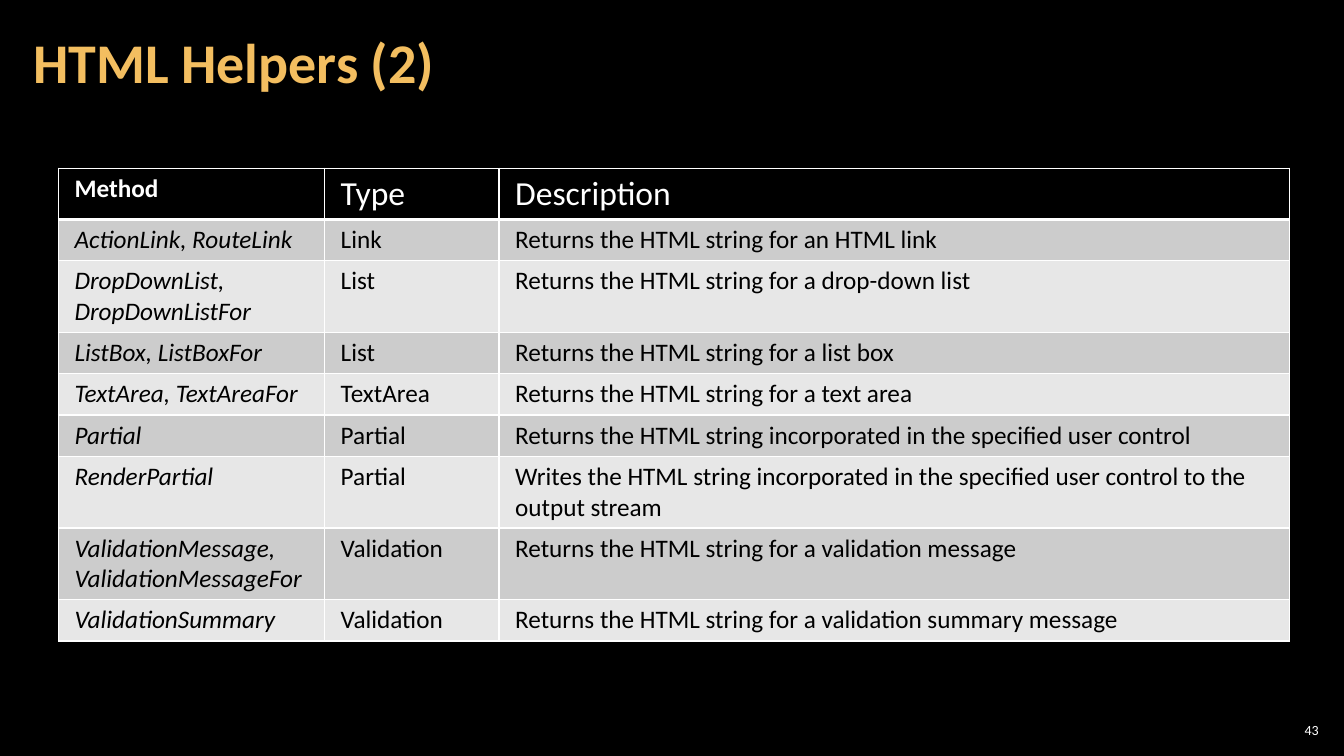
"""Build the HTML Helpers slide with its table of helper methods."""
from typing import NamedTuple

from lxml import etree
from pptx import Presentation
from pptx.dml.color import RGBColor
from pptx.enum import text
from pptx.oxml import ns
from pptx.slide import Slide
from pptx.table import _Cell
from pptx.util import Inches, Pt

BLACK = RGBColor(0x00, 0x00, 0x00)
WHITE = RGBColor(0xFF, 0xFF, 0xFF)
GOLD = RGBColor(0xF3, 0xBE, 0x60)
DARK_BAND = RGBColor(0xCC, 0xCC, 0xCC)
LIGHT_BAND = RGBColor(0xE7, 0xE7, 0xE7)
FONT = "Calibri"
COLUMN_WIDTHS = (2.64, 1.73, 7.84)
ROW_HEIGHT = 0.41


class Style(NamedTuple):
    size: float
    color: RGBColor
    bold: bool = False
    italic: bool = False


class Label(NamedTuple):
    words: str
    left: float
    top: float
    width: float
    height: float
    side_inset: float
    align: text.PP_ALIGN
    line_spacing: float
    style: Style


class Helper(NamedTuple):
    method: str
    type: str
    description: str


LABELS = (
    Label("43", 12.65, 7.14, 0.47, 0.21, 0.04, text.PP_ALIGN.RIGHT, 1.0, Style(10, WHITE)),
    Label("HTML Helpers (2)", 0.21, 0.04, 10.47, 1.21, 0.12, text.PP_ALIGN.LEFT, 0.9,
          Style(40, GOLD, bold=True)),
)

HEADER = Helper("Method", "Type", "Description")
HELPERS = (
    Helper("ActionLink, RouteLink", "Link", "Returns the HTML string for an HTML link"),
    Helper("DropDownList,\nDropDownListFor", "List",
           "Returns the HTML string for a drop-down list"),
    Helper("ListBox, ListBoxFor", "List", "Returns the HTML string for a list box"),
    Helper("TextArea, TextAreaFor", "TextArea", "Returns the HTML string for a text area"),
    Helper("Partial", "Partial",
           "Returns the HTML string incorporated in the specified user control"),
    Helper("RenderPartial", "Partial",
           "Writes the HTML string incorporated in the specified user control to the\n"
           "output stream"),
    Helper("ValidationMessage,\nValidationMessageFor", "Validation",
           "Returns the HTML string for a validation message"),
    Helper("ValidationSummary", "Validation",
           "Returns the HTML string for a validation summary message"),
)


def write(text_frame, words: str, style: Style) -> None:
    text_frame.text = words
    for paragraph in text_frame.paragraphs:
        for run in paragraph.runs:
            run.font.name = FONT
            run.font.size = Pt(style.size)
            run.font.bold = style.bold
            run.font.italic = style.italic
            run.font.color.rgb = style.color


def add_label(slide: Slide, label: Label) -> None:
    shape = slide.shapes.add_textbox(
        Inches(label.left), Inches(label.top), Inches(label.width), Inches(label.height))
    text_frame = shape.text_frame
    text_frame.word_wrap = True
    text_frame.vertical_anchor = text.MSO_ANCHOR.MIDDLE
    text_frame.margin_left = text_frame.margin_right = Inches(label.side_inset)
    text_frame.margin_top = text_frame.margin_bottom = Inches(0.04)
    write(text_frame, label.words, label.style)
    text_frame.paragraphs[0].alignment = label.align
    text_frame.paragraphs[0].line_spacing = label.line_spacing


def add_borders(cell: _Cell, bottom_width: float) -> None:
    properties = cell._tc.get_or_add_tcPr()
    widths = {"lnL": 1, "lnR": 1, "lnT": 1, "lnB": bottom_width}
    for position, (side, width) in enumerate(widths.items()):
        line = etree.Element(ns.qn(f"a:{side}"), w=str(Pt(width)))
        fill = etree.SubElement(line, ns.qn("a:solidFill"))
        etree.SubElement(fill, ns.qn("a:srgbClr"), val=str(WHITE))
        properties.insert(position, line)


def fill_cell(cell: _Cell, words: str, style: Style, fill: RGBColor,
              bottom_width: float) -> None:
    cell.margin_left = cell.margin_right = Inches(0.16)
    cell.margin_top = cell.margin_bottom = Inches(0.05)
    cell.fill.solid()
    cell.fill.fore_color.rgb = fill
    add_borders(cell, bottom_width)
    write(cell.text_frame, words, style)


def add_helper_table(slide: Slide) -> None:
    rows = (HEADER, *HELPERS)
    table = slide.shapes.add_table(
        len(rows), len(COLUMN_WIDTHS), Inches(0.58), Inches(1.67),
        Inches(sum(COLUMN_WIDTHS)), Inches(ROW_HEIGHT * len(rows))).table
    for column, width in zip(table.columns, COLUMN_WIDTHS):
        column.width = Inches(width)
    for row_index, helper in enumerate(rows):
        table.rows[row_index].height = Inches(ROW_HEIGHT)
        is_header = row_index == 0
        band = DARK_BAND if row_index % 2 else LIGHT_BAND
        for column_index, words in enumerate(helper):
            is_method = column_index == 0
            if is_header:
                style = Style(18 if is_method else 24, WHITE, bold=is_method)
            else:
                style = Style(18, BLACK, italic=is_method)
            fill_cell(table.cell(row_index, column_index), words, style,
                      BLACK if is_header else band, 3 if is_header else 1)


def main() -> None:
    presentation = Presentation()
    presentation.slide_width = Inches(13.33)
    presentation.slide_height = Inches(7.5)
    slide = presentation.slides.add_slide(presentation.slide_layouts[6])
    slide.background.fill.solid()
    slide.background.fill.fore_color.rgb = BLACK
    add_helper_table(slide)
    for label in LABELS:
        add_label(slide, label)
    presentation.save("out.pptx")


if __name__ == "__main__":
    main()
